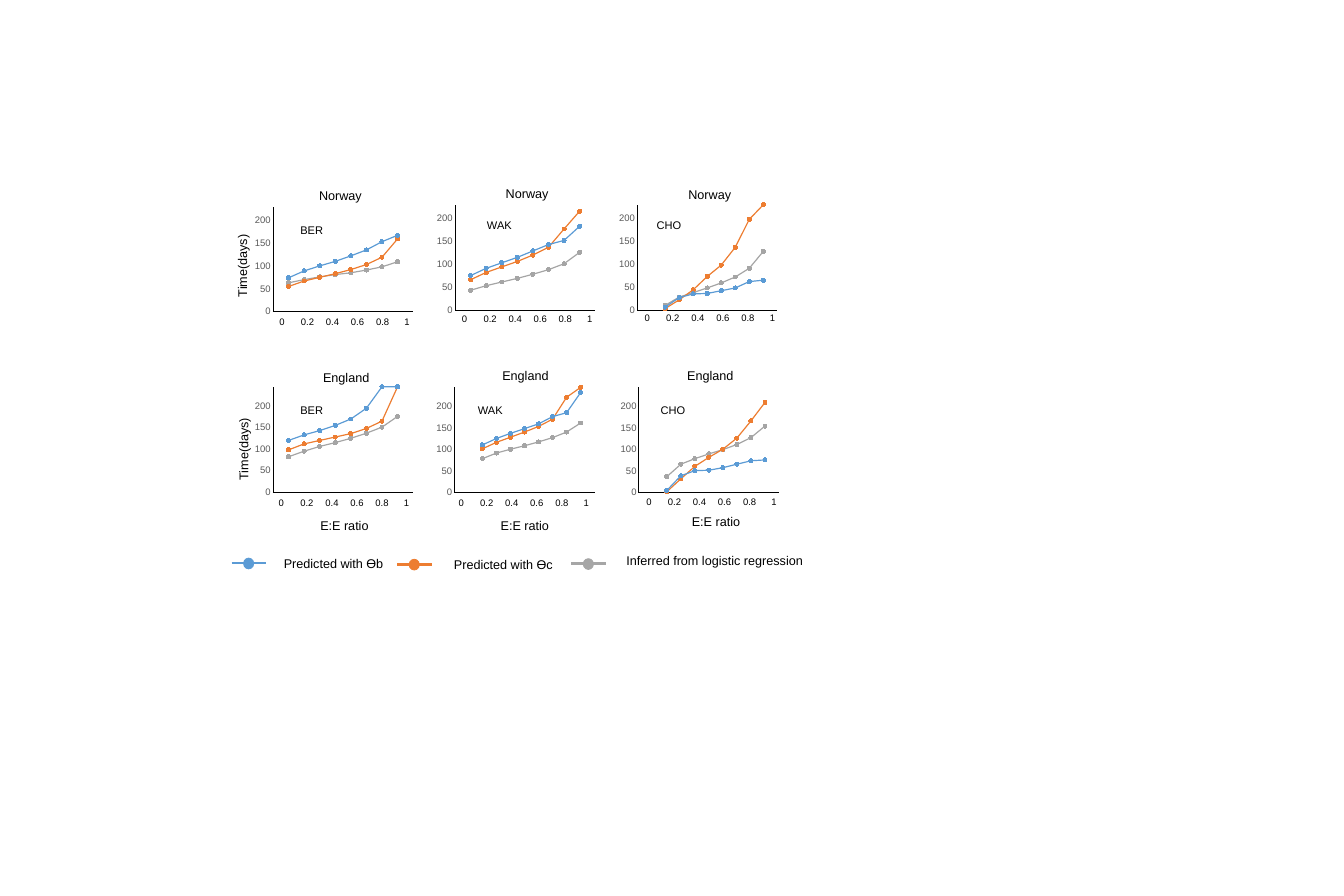
from collections import namedtuple

from lxml import etree
from pptx import Presentation, util as u
from pptx.chart.data import XyChartData
from pptx.dml.color import RGBColor
from pptx.enum import chart as kinds, shapes, text
from pptx.oxml import parse_xml
from pptx.oxml.ns import nsdecls, qn

CELL = 0.1  # inches; every length below counts these grid cells
BLUE, ORANGE, GREY = "5B9BD5", "ED7D31", "A5A5A5"
KEY_GREY, AXIS_GREY, BLACK = "A6A6A6", "595959", "000000"
RATIOS = [n / 10 for n in range(2, 10)]

Country = namedtuple("Country", "name top panels")
Panel = namedtuple("Panel", "site corner title_at site_at ticks_at ratio_min curves")

COUNTRIES = [
    Country("Norway", 230, [
        Panel("BER", (44.2, 35.9), (55.1, 32.6), (51.8, 38.8), (48.1, 55), 0.1,
              [[74, 89, 100, 110, 122, 135, 153, 167],
               [55, 67, 75, 83, 92, 103, 119, 159],
               [63, 70, 76, 81, 85, 91, 98, 109]]),
        Panel("WAK", (76.2, 35.6), (87.9, 32.2), (84.6, 37.9), (80.2, 54.6), 0.1,
              [[75, 91, 103, 115, 129, 143, 152, 183],
               [66, 82, 94, 106, 120, 137, 177, 216],
               [43, 53, 61, 69, 78, 88, 101, 126]]),
        Panel("CHO", (108.2, 35.6), (120, 32.3), (114.4, 37.9), (112.3, 54.3), 0,
              [[6, 27, 35, 36, 42, 48, 62, 65],
               [3, 22, 44, 73, 98, 137, 198, 230],
               [10, 28, 38, 48, 59, 72, 91, 128]]),
    ]),
    Country("England", 245, [
        Panel("BER", (44.2, 67.6), (55.8, 64.5), (51.8, 70.4), (48, 86.9), 0.1,
              [[120, 133, 143, 155, 170, 195, 245, 245],
               [98, 112, 120, 128, 136, 148, 165, 245],
               [82, 95, 106, 115, 125, 137, 151, 176]]),
        Panel("WAK", (76.1, 67.7), (87.3, 64.2), (83, 70.4), (79.6, 86.9), 0,
              [[111, 126, 138, 149, 160, 177, 186, 233],
               [102, 117, 129, 141, 154, 171, 222, 245],
               [79, 92, 101, 109, 118, 128, 141, 162]]),
        Panel("CHO", (108.5, 67.7), (119.8, 64.2), (115.1, 70.4), (112.6, 86.7), 0,
              [[5, 39, 51, 52, 58, 66, 74, 76],
               [2, 32, 61, 82, 101, 127, 167, 210],
               [37, 66, 79, 90, 100, 112, 128, 155]]),
    ]),
]
# label, shift from the first label, width
RATIO_TICKS = [("0", 0, 2.2), ("0.2", 3.8, 4.7), ("0.4", 8.2, 5.2),
               ("0.6", 12.6, 4.3), ("0.8", 17, 5.5), ("1", 22, 2.2)]
TIME_LABELS = [(35.3, 44.1, 14.5), (35.3, 76.1, 15)]
RATIO_LABELS = [(55.3, 90.5), (87, 90.5), (120.6, 89.9)]
# colour, start of the line, place of the wording
KEYS = [("Predicted with Ɵb", BLUE, (40.7, 99), (48.9, 97.2)),
        ("Predicted with Ɵc", ORANGE, (69.8, 99.2), (78.8, 97.4)),
        ("Inferred from logistic regression", KEY_GREY, (100.4, 99.1), (109.1, 96.7))]


def cells(*counts):
    return [u.Inches(count * CELL) for count in counts]


def colour(code):
    return RGBColor.from_string(code)


def paint(fill, code):
    fill.solid()
    fill.fore_color.rgb = colour(code)


def stroke(line, code, width):
    line.color.rgb = colour(code)
    line.width = u.Pt(width)


def set_font(font, size, code, name="Arial"):
    font.size, font.name = u.Pt(size), name
    font.color.rgb = colour(code)


def fix_plot_area(chart):
    """Pin the inner plot area as shares of the chart frame."""
    area = chart.element.find(".//" + qn("c:plotArea"))
    for old in area.findall(qn("c:layout")):
        area.remove(old)
    places = "".join(f'<c:{tag} val="{share}"/>' for tag, share in
                     [("x", 0.13), ("y", 0.02), ("w", 0.85), ("h", 0.92)])
    area.insert(0, parse_xml(
        f'<c:layout {nsdecls("c")}><c:manualLayout><c:layoutTarget val="inner"/>'
        '<c:xMode val="edge"/><c:yMode val="edge"/>'
        f'{places}</c:manualLayout></c:layout>'))


class Figure:
    def __init__(self, slide):
        self.shapes = slide.shapes

    def label(self, wording, at, width, size, turn=0):
        height = {12: 3, 14: 3.4, 16: 3.7}[size]
        box = self.shapes.add_textbox(*cells(*at, width, height))
        box.rotation = turn
        frame = box.text_frame
        frame.word_wrap = True
        frame.auto_size = text.MSO_AUTO_SIZE.SHAPE_TO_FIT_TEXT
        frame.text = wording
        set_font(frame.paragraphs[0].font, size, BLACK)

    def axis(self, axis, low, high, step):
        axis.minimum_scale, axis.maximum_scale, axis.major_unit = low, high, step
        axis.has_major_gridlines = axis.has_minor_gridlines = False
        axis.major_tick_mark = axis.minor_tick_mark = kinds.XL_TICK_MARK.NONE
        stroke(axis.format.line, BLACK, 1)
        set_font(axis.tick_labels.font, 12, AXIS_GREY)

    def curves(self, panel, top):
        data = XyChartData()
        for number, days in enumerate(panel.curves, 1):
            series = data.add_series(f"Series {number}")
            for ratio, day in zip(RATIOS, days):
                series.add_data_point(ratio, day)
        chart = self.shapes.add_chart(kinds.XL_CHART_TYPE.XY_SCATTER_LINES,
                                      *cells(*panel.corner, 29, 20.1), data).chart
        chart.has_title = chart.has_legend = False
        set_font(chart.font, 10, BLACK, "Calibri")
        fix_plot_area(chart)
        self.axis(chart.category_axis, panel.ratio_min, 1, 0.2)
        chart.category_axis.tick_label_position = kinds.XL_TICK_LABEL_POSITION.NONE
        self.axis(chart.value_axis, 0, top, 50)
        plot = chart.plots[0]
        plot.vary_by_categories = False
        for series, code in zip(plot.series, (BLUE, ORANGE, GREY)):
            stroke(series.format.line, code, 1.5)
            series.marker.style, series.marker.size = kinds.XL_MARKER_STYLE.CIRCLE, 5
            paint(series.marker.format.fill, code)
            stroke(series.marker.format.line, code, 0.75)

    def panel(self, country, panel):
        self.curves(panel, country.top)
        self.label(country.name, panel.title_at, 15.6, 16)
        self.label(panel.site, panel.site_at, 8.1, 14)
        left, top = panel.ticks_at
        for wording, shift, width in RATIO_TICKS:
            self.label(wording, (left + shift, top), width, 12)

    def key(self, wording, code, start, wording_at):
        left, middle = start
        line = self.shapes.add_connector(shapes.MSO_CONNECTOR.STRAIGHT,
                                         *cells(left, middle, left + 6.1, middle))
        stroke(line.line, code, 3.25)
        etree.SubElement(line.element.spPr, qn("a:effectLst"))
        dot = self.shapes.add_shape(shapes.MSO_SHAPE.OVAL,
                                    *cells(left + 2.1, middle - 0.9, 1.8, 1.9))
        dot.shadow.inherit = False
        paint(dot.fill, code)
        stroke(dot.line, code, 1)
        self.label(wording, wording_at, 36.6, 16)


def main():
    deck = Presentation()
    deck.slide_width, deck.slide_height = cells(236.2, 157.5)
    figure = Figure(deck.slides.add_slide(deck.slide_layouts[6]))
    for country in COUNTRIES:
        for panel in country.panels:
            figure.panel(country, panel)
    for left, top, width in TIME_LABELS:
        figure.label("Time(days)", (left, top), width, 16, turn=270)
    for at in RATIO_LABELS:
        figure.label("E:E ratio", at, 15.9, 16)
    for key in KEYS:
        figure.key(*key)
    deck.save("out.pptx")


if __name__ == "__main__":
    main()
